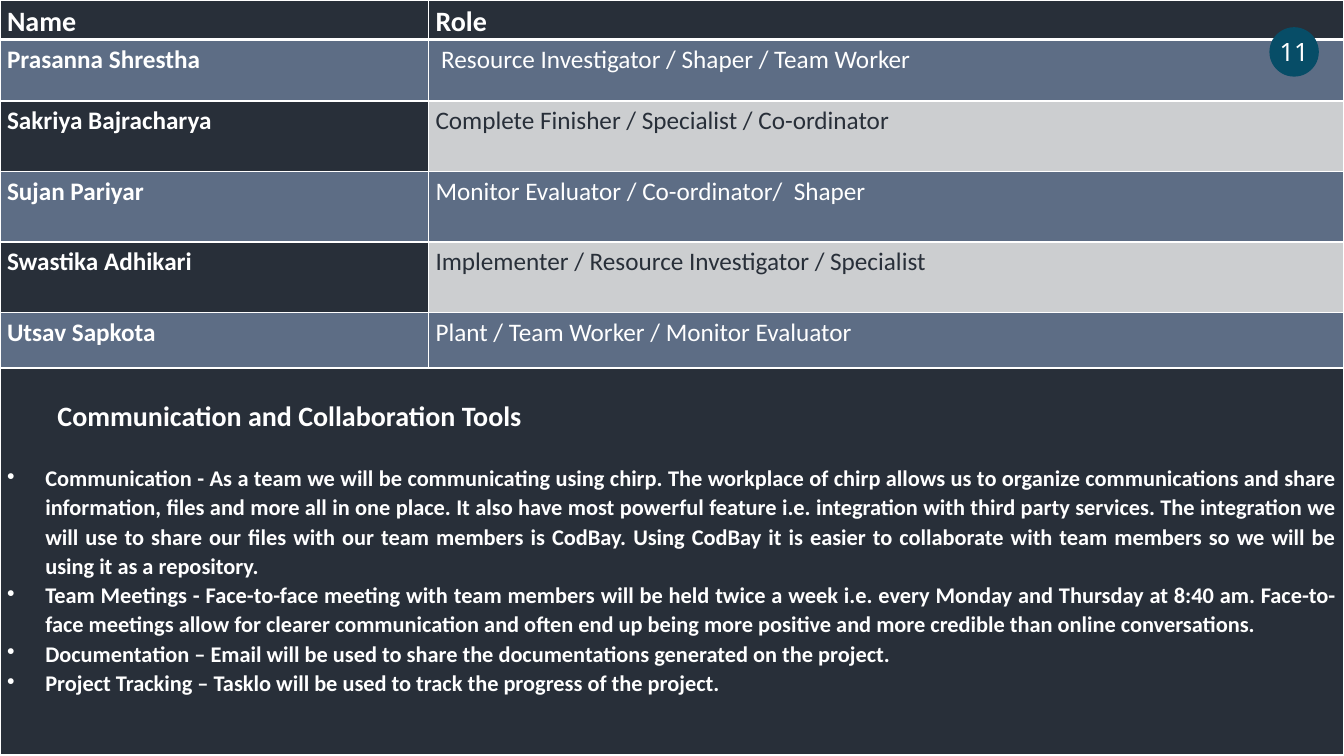
from lxml import etree
from pptx import Presentation, util as u
from pptx.dml.color import RGBColor
from pptx.enum import shapes, text
from pptx.oxml.ns import qn

WHITE = RGBColor(0xFF, 0xFF, 0xFF)
DARK = RGBColor(0x28, 0x2F, 0x39)
SLATE = RGBColor(0x5D, 0x6D, 0x85)
GREY = RGBColor(0xCC, 0xCE, 0xD0)
TEAL = RGBColor(0x07, 0x4D, 0x67)

TEAM = [
    ("Name", "Role"),
    ("Prasanna Shrestha", " Resource Investigator / Shaper / Team Worker"),
    ("Sakriya Bajracharya", "Complete Finisher / Specialist / Co-ordinator"),
    ("Sujan Pariyar", "Monitor Evaluator / Co-ordinator/  Shaper"),
    ("Swastika Adhikari", "Implementer / Resource Investigator / Specialist"),
    ("Utsav Sapkota", "Plant / Team Worker / Monitor Evaluator"),
]
TOOLS_HEADING = "Communication and Collaboration Tools"
TOOLS = [
    "Communication - As a team we will be communicating using chirp. The workplace of chirp "
    "allows us to organize communications and share information, files and more all in one "
    "place. It also have most powerful feature i.e. integration with third party services. "
    "The integration we will use to share our files with our team members is CodBay. Using "
    "CodBay it is easier to collaborate with team members so we will be using it as a repository.",
    "Team Meetings - Face-to-face meeting with team members will be held twice a week i.e. "
    "every Monday and Thursday at 8:40 am. Face-to-face meetings allow for clearer "
    "communication and often end up being more positive and more credible than online "
    "conversations.",
    "Documentation – Email will be used to share the documentations generated on the project.",
    "Project Tracking – Tasklo will be used to track the progress of the project.",
]
PAGE_NUMBER = "11"

WIDTH, HEIGHT = 13.33, 7.5
NAME_WIDTH = 4.25
TEAM_ROWS = [0.39, 0.61, 0.7, 0.7, 0.7, 0.55]
TEAM_HEIGHT = sum(TEAM_ROWS)


def add_table(slide, top, columns, rows):
    frame = slide.shapes.add_table(len(rows), len(columns), 0, u.Inches(top),
                                   u.Inches(sum(columns)), u.Inches(sum(rows)))
    table = frame.table
    for column, width in zip(table.columns, columns):
        column.width = u.Inches(width)
    for row, height in zip(table.rows, rows):
        row.height = u.Inches(height)
    return table


def style_cell(cell, fill, top_line=1, bottom_line=1, margin_top=0):
    """Set the fill, the margins and the white borders of a cell."""
    cell.fill.solid()
    cell.fill.fore_color.rgb = fill
    cell.margin_left = cell.margin_right = u.Inches(0.07)
    cell.margin_top, cell.margin_bottom = u.Inches(margin_top), 0
    properties = cell._tc.get_or_add_tcPr()
    sides = {"a:lnL": 1, "a:lnR": 1, "a:lnT": top_line, "a:lnB": bottom_line}
    for position, (side, points) in enumerate(sides.items()):
        line = etree.Element(qn(side), w=str(u.Pt(points)))
        solid = etree.SubElement(line, qn("a:solidFill"))
        etree.SubElement(solid, qn("a:srgbClr"), val=str(WHITE))
        properties.insert(position, line)


def style_paragraph(paragraph, size, color, bold, spacing=None, font="Calibri"):
    if spacing:
        paragraph.line_spacing = spacing
    paragraph.font.name = font
    paragraph.font.size = u.Pt(size)
    paragraph.font.bold = bold
    paragraph.font.color.rgb = color


def indent(paragraph, left, first_line=0):
    properties = paragraph._p.get_or_add_pPr()
    properties.set("marL", str(u.Inches(left)))
    properties.set("indent", str(u.Inches(first_line)))
    return properties


def add_team_table(slide):
    table = add_table(slide, 0, [NAME_WIDTH, WIDTH - NAME_WIDTH], TEAM_ROWS)
    for i, row in enumerate(TEAM):
        for j, words in enumerate(row):
            cell = table.cell(i, j)
            light = j == 1 and i > 0 and i % 2 == 0
            fill = GREY if light else SLATE if i % 2 else DARK
            style_cell(cell, fill, 3 if i == 1 else 1, 3 if i == 0 else 1)
            cell.text = words
            style_paragraph(cell.text_frame.paragraphs[0], 18 if i else 20,
                            DARK if light else WHITE, i == 0 or j == 0, 1.15)


def add_page_number(slide):
    circle = slide.shapes.add_shape(shapes.MSO_SHAPE.OVAL, u.Inches(12.59), u.Inches(0.27),
                                    u.Inches(0.49), u.Inches(0.49))
    circle.shadow.inherit = False
    circle.fill.solid()
    circle.fill.fore_color.rgb = TEAL
    circle.line.fill.background()
    frame = circle.text_frame
    frame.word_wrap = False
    frame.vertical_anchor = text.MSO_ANCHOR.MIDDLE
    frame.text = PAGE_NUMBER
    paragraph = frame.paragraphs[0]
    paragraph.alignment = text.PP_ALIGN.CENTER
    style_paragraph(paragraph, 18, WHITE, False, font="Noto Sans")


def add_tools_table(slide):
    table = add_table(slide, TEAM_HEIGHT, [WIDTH], [HEIGHT - TEAM_HEIGHT])
    cell = table.cell(0, 0)
    style_cell(cell, DARK, bottom_line=3, margin_top=0.29)
    heading = cell.text_frame.paragraphs[0]
    heading.text = TOOLS_HEADING
    heading.alignment = text.PP_ALIGN.JUSTIFY
    heading.space_after = u.Pt(21)
    indent(heading, 0.5)
    style_paragraph(heading, 20, WHITE, True, 1.07)
    for words in TOOLS:
        paragraph = cell.text_frame.add_paragraph()
        paragraph.text = words
        paragraph.alignment = text.PP_ALIGN.JUSTIFY
        properties = indent(paragraph, 0.38, -0.38)
        etree.SubElement(properties, qn("a:buChar"), char="•")
        style_paragraph(paragraph, 16, WHITE, True, 1.07)


def main():
    presentation = Presentation()
    presentation.slide_width = u.Inches(WIDTH)
    presentation.slide_height = u.Inches(HEIGHT)
    slide = presentation.slides.add_slide(presentation.slide_layouts[6])
    add_team_table(slide)
    add_page_number(slide)
    add_tools_table(slide)
    presentation.save("out.pptx")


if __name__ == "__main__":
    main()
